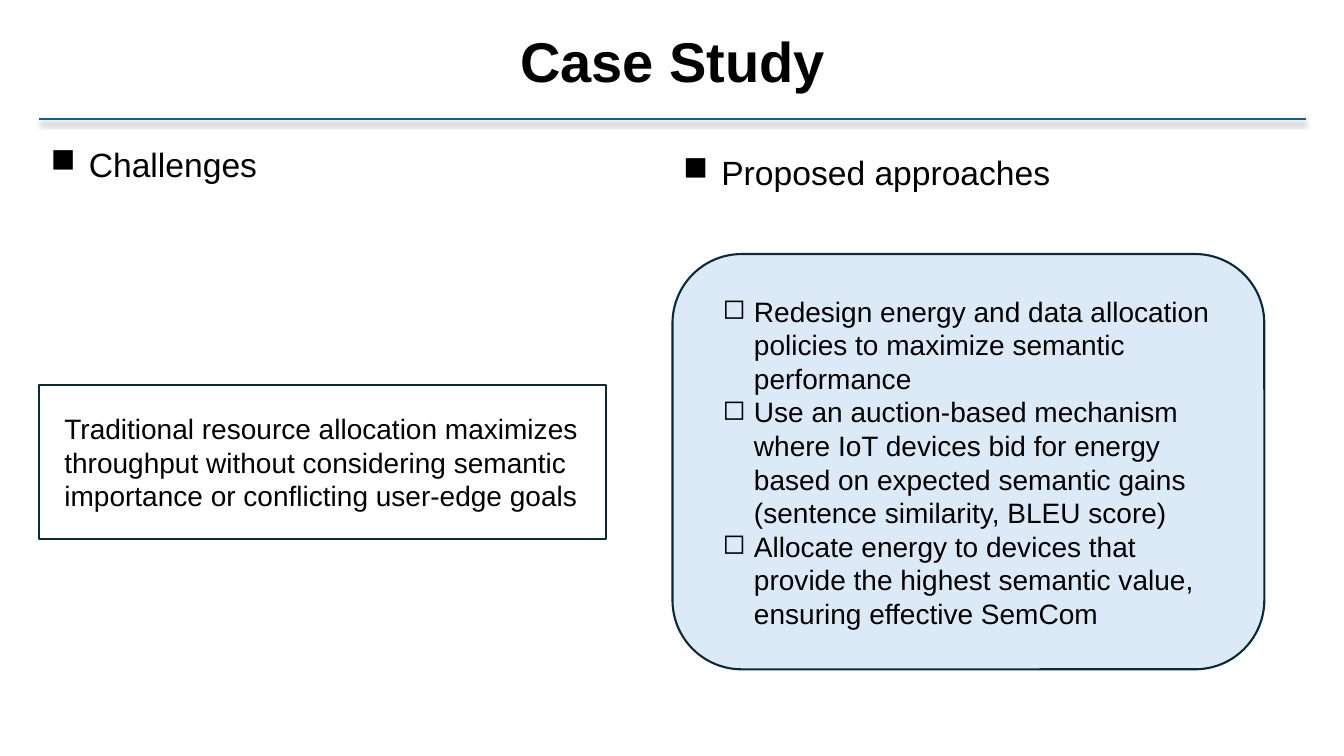
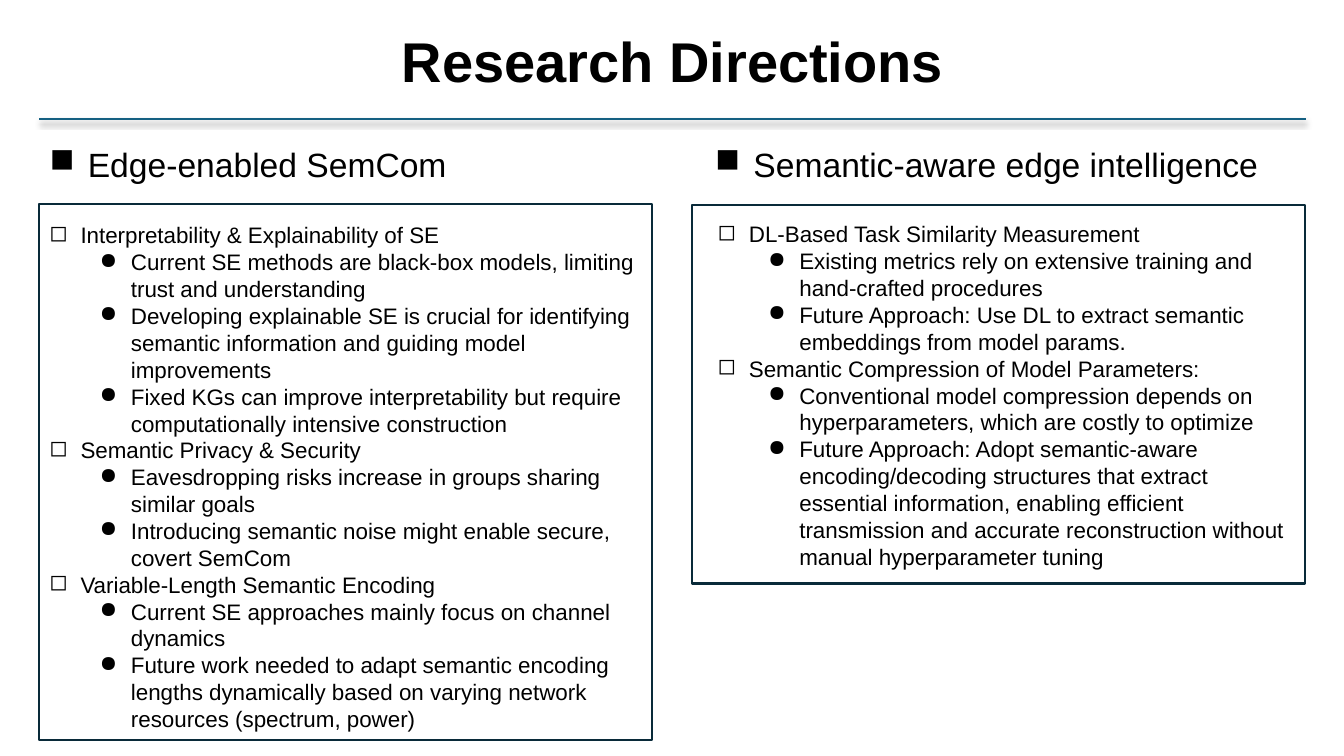
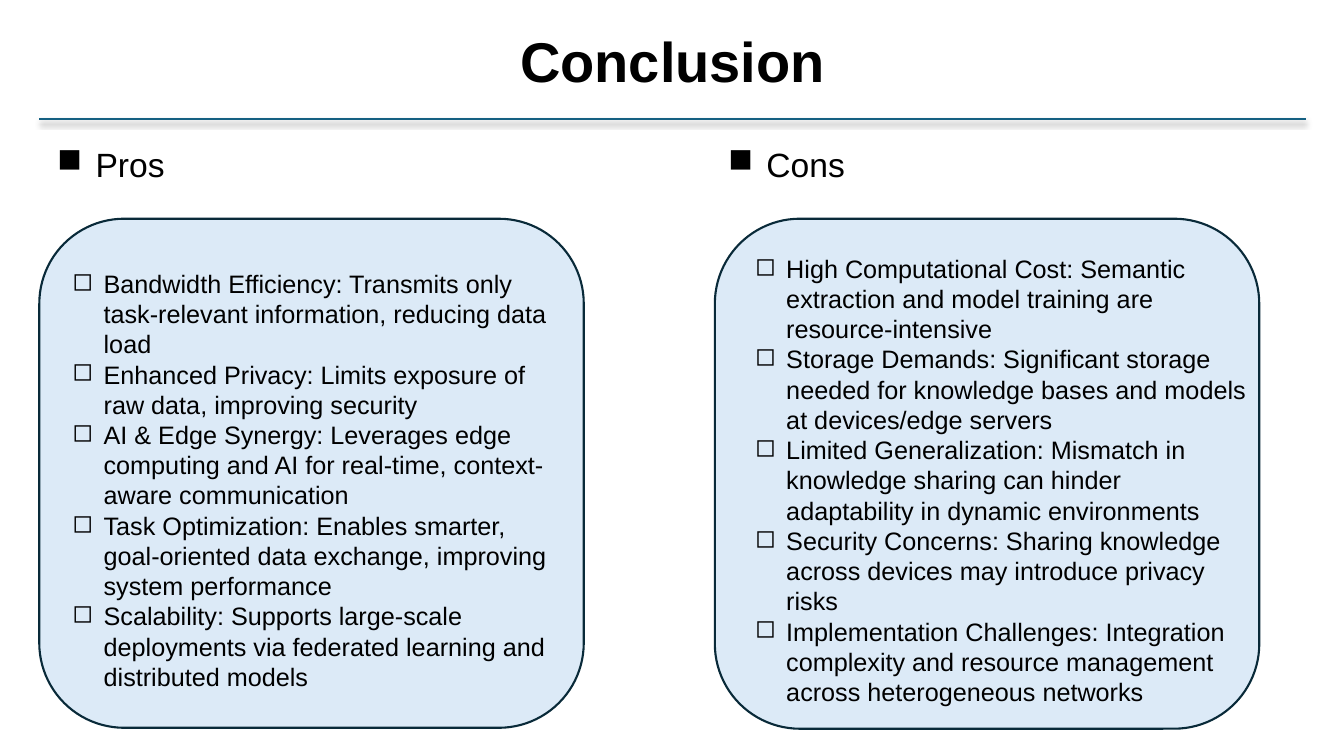
from dataclasses import dataclass

import pptx
import pptx.dml.color
import pptx.enum.shapes
import pptx.enum.text
import pptx.oxml
import pptx.oxml.ns
import pptx.util

PX = 9144  # one hundredth of an inch
SHAPES = pptx.enum.shapes.MSO_SHAPE
CENTER = pptx.enum.text.PP_ALIGN.CENTER
LEFT = pptx.enum.text.PP_ALIGN.LEFT
TOP = pptx.enum.text.MSO_ANCHOR.TOP
MIDDLE = pptx.enum.text.MSO_ANCHOR.MIDDLE


@dataclass(frozen=True)
class Theme:
    font: str = "Arial"
    ink: str = "000000"
    rule: str = "156082"
    outline: str = "092A39"
    card: str = "DCEAF7"
    background: str = "FFFFFF"
    title_size: int = 40
    heading_size: int = 24
    line_width: float = 1.5


@dataclass(frozen=True)
class Bullet:
    symbol: str
    margin: int
    hang: int
    level: int = 0


@dataclass(frozen=True)
class Column:
    """Places are (left, top, width, height); text_box is relative to panel."""
    heading: str
    heading_box: tuple
    panel: tuple
    text_box: tuple
    size: int
    items: list
    rounded: bool = False


THEME = Theme()
HEADING = Bullet("■", 38, 38)
TOPIC = Bullet("◻", 31, 31)
DETAIL = Bullet("●", 81, 31, 1)


def color(value):
    return pptx.dml.color.RGBColor.from_string(value)


def emu(lengths):
    return [pptx.util.Emu(length * PX) for length in lengths]


def set_bullet(para, bullet):
    para.level = bullet.level
    properties = para._p.get_or_add_pPr()
    properties.set("marL", str(bullet.margin * PX))
    properties.set("indent", str(-bullet.hang * PX))
    mark = pptx.oxml.parse_xml(
        f'<a:buChar {pptx.oxml.ns.nsdecls("a")} char="{bullet.symbol}"/>')
    properties.append(mark)


def add_text(page, box, items, size, align=LEFT, anchor=TOP, bold=False):
    """Write (text, bullet or None) items as the paragraphs of one text box."""
    frame = page.shapes.add_textbox(*emu(box)).text_frame
    frame.word_wrap = True
    frame.auto_size = pptx.enum.text.MSO_AUTO_SIZE.SHAPE_TO_FIT_TEXT
    frame.vertical_anchor = anchor
    frame.text = "\n".join(text for text, _ in items)
    for para, (_, bullet) in zip(frame.paragraphs, items):
        para.alignment = align
        if bullet:
            set_bullet(para, bullet)
        for span in para.runs:
            span.font.name = THEME.font
            span.font.size = pptx.util.Pt(size)
            span.font.bold = bold
            span.font.color.rgb = color(THEME.ink)


def add_header(page, title, box):
    """Centred title above a shadowed rule at the bottom of the box."""
    left, top, width, height = box
    add_text(page, (left + 150, top, width - 300, 77), [(title, None)],
             THEME.title_size, CENTER, bold=True)
    bottom = top + height
    rule = page.shapes.add_connector(
        pptx.enum.shapes.MSO_CONNECTOR.STRAIGHT,
        *emu((left, bottom, left + width, bottom)))
    rule.line.color.rgb = color(THEME.rule)
    rule.line.width = pptx.util.Pt(THEME.line_width)
    rule._element.spPr.append(pptx.oxml.parse_xml(
        f'<a:effectLst {pptx.oxml.ns.nsdecls("a")}>'
        '<a:outerShdw blurRad="50800" dist="38100" dir="5400000" rotWithShape="0">'
        '<a:srgbClr val="000000"><a:alpha val="40000"/></a:srgbClr>'
        '</a:outerShdw></a:effectLst>'))


def add_panel(page, box, rounded):
    """Filled rounded card or open rectangle."""
    kind = SHAPES.ROUNDED_RECTANGLE if rounded else SHAPES.RECTANGLE
    panel = page.shapes.add_shape(kind, *emu(box))
    panel.shadow.inherit = False
    if rounded:
        panel.fill.solid()
        panel.fill.fore_color.rgb = color(THEME.card)
    else:
        panel.fill.background()
    panel.line.color.rgb = color(THEME.outline)
    panel.line.width = pptx.util.Pt(THEME.line_width)


def add_column(page, column):
    add_panel(page, column.panel, column.rounded)
    add_text(page, column.heading_box, [(column.heading, HEADING)],
             THEME.heading_size, CENTER)
    left, top, width, height = column.text_box
    place = (column.panel[0] + left, column.panel[1] + top, width, height)
    add_text(page, place, column.items, column.size, anchor=MIDDLE)


def add_page(deck, title, columns):
    page = deck.slides.add_slide(deck.slide_layouts[6])
    page.background.fill.solid()
    page.background.fill.fore_color.rgb = color(THEME.background)
    add_header(page, title, (39, 21, 1256, 97))
    for column in columns:
        add_column(page, column)


def topics(*texts):
    return [(text, TOPIC) for text in texts]


def outline(groups):
    """Flatten {topic: details} into bulleted items."""
    return [item for topic, details in groups.items()
            for item in [(topic, TOPIC)] + [(text, DETAIL) for text in details]]


PAGES = {
    "Case Study": [
        Column("Challenges", (39, 138, 227, 50), (39, 382, 562, 153),
               (15, 21, 587, 111), 20,
               [("Traditional resource allocation maximizes throughput without "
                 "considering semantic importance or conflicting user-edge goals", None)]),
        Column("Proposed approaches", (667, 146, 385, 50), (667, 252, 587, 412),
               (40, 33, 516, 347), 20, topics(
                   "Redesign energy and data allocation policies to maximize "
                   "semantic performance",
                   "Use an auction-based mechanism where IoT devices bid for energy "
                   "based on expected semantic gains (sentence similarity, BLEU score)",
                   "Allocate energy to devices that provide the highest semantic "
                   "value, ensuring effective SemCom"), rounded=True),
    ],
    "Research Directions": [
        Column("Edge-enabled SemCom", (39, 138, 414, 50), (39, 202, 608, 532),
               (0, 10, 628, 522), 16, outline({
                   "Interpretability & Explainability of SE": [
                       "Current SE methods are black-box models, limiting trust and "
                       "understanding",
                       "Developing explainable SE is crucial for identifying semantic "
                       "information and guiding model improvements",
                       "Fixed KGs can improve interpretability but require "
                       "computationally intensive construction"],
                   "Semantic Privacy & Security": [
                       "Eavesdropping risks increase in groups sharing similar goals",
                       "Introducing semantic noise might enable secure, covert SemCom"],
                   "Variable-Length Semantic Encoding": [
                       "Current SE approaches mainly focus on channel dynamics",
                       "Future work needed to adapt semantic encoding lengths "
                       "dynamically based on varying network resources "
                       "(spectrum, power)"]})),
        Column("Semantic-aware edge intelligence", (697, 138, 563, 50),
               (686, 203, 608, 376), (16, 9, 586, 360), 16, outline({
                   "DL-Based Task Similarity Measurement": [
                       "Existing metrics rely on extensive training and hand-crafted "
                       "procedures",
                       "Future Approach: Use DL to extract semantic embeddings from "
                       "model params."],
                   "Semantic Compression of Model Parameters:": [
                       "Conventional model compression depends on hyperparameters, "
                       "which are costly to optimize",
                       "Future Approach: Adopt semantic-aware encoding/decoding "
                       "structures that extract essential information, enabling "
                       "efficient transmission and accurate reconstruction without "
                       "manual hyperparameter tuning"]})),
    ],
    "Conclusion": [
        Column("Pros", (39, 138, 142, 50), (39, 217, 540, 505),
               (23, 42, 510, 434), 18, topics(
                   "Bandwidth Efficiency: Transmits only task-relevant information, "
                   "reducing data load",
                   "Enhanced Privacy: Limits exposure of raw data, improving security",
                   "AI & Edge Synergy: Leverages edge computing and AI for real-time, "
                   "context-aware communication",
                   "Task Optimization: Enables smarter, goal-oriented data exchange, "
                   "improving system performance",
                   "Scalability: Supports large-scale deployments via federated "
                   "learning and distributed models"), rounded=True),
        Column("Cons", (709, 138, 142, 50), (709, 217, 540, 506),
               (30, 27, 510, 464), 18, topics(
                   "High Computational Cost: Semantic extraction and model training "
                   "are resource-intensive",
                   "Storage Demands: Significant storage needed for knowledge bases "
                   "and models at devices/edge servers",
                   "Limited Generalization: Mismatch in knowledge sharing can hinder "
                   "adaptability in dynamic environments",
                   "Security Concerns: Sharing knowledge across devices may introduce "
                   "privacy risks",
                   "Implementation Challenges: Integration complexity and resource "
                   "management across heterogeneous networks"), rounded=True),
    ],
}


def main():
    deck = pptx.Presentation()
    deck.slide_width, deck.slide_height = emu((1333, 750))
    for title, columns in PAGES.items():
        add_page(deck, title, columns)
    deck.save("out.pptx")


if __name__ == "__main__":
    main()
